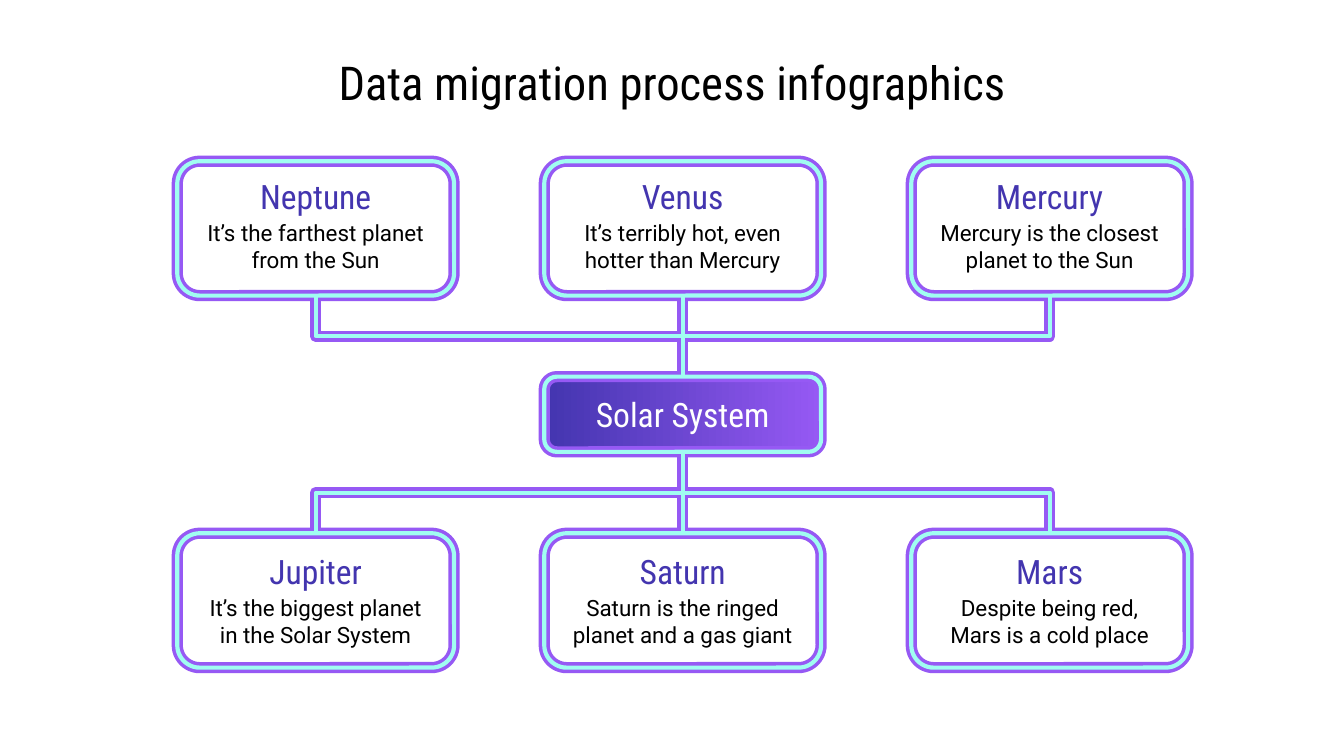
from lxml.etree import SubElement
from pptx import Presentation
from pptx.dml.color import RGBColor
from pptx.enum.shapes import MSO_CONNECTOR, MSO_SHAPE
from pptx.enum.text import MSO_ANCHOR, PP_ALIGN
from pptx.oxml.ns import qn
from pptx.util import Pt

COLORS = {
    "black": "000000",
    "white": "FFFFFF",
    "indigo": "4335AF",
    "violet": "9659F4",
    "aqua": "A0FDF1",
}
HEADING_FONT = "Roboto Condensed"
BODY_FONT = "Roboto"

BOX_WIDTH, BOX_HEIGHT = 148.3, 72
FIRST_LEFT, COLUMN_PITCH = 95, 196.6
UPPER_TOP, LOWER_TOP = 86.4, 285.7
HUB_TOP, HUB_HEIGHT = 201.8, 40.3
LEFTS = [FIRST_LEFT + column * COLUMN_PITCH for column in range(3)]

# Row top, distance down to the heading, and the planets from left to right
ROWS = [
    (UPPER_TOP, 8.6, [
        ("Neptune", "It’s the farthest planet from the Sun"),
        ("Venus", "It’s terribly hot, even hotter than Mercury"),
        ("Mercury", "Mercury is the closest planet to the Sun"),
    ]),
    (LOWER_TOP, 10.1, [
        ("Jupiter", "It’s the biggest planet in the Solar System"),
        ("Saturn", "Saturn is the ringed planet and a gas giant"),
        ("Mars", "Despite being red, Mars is a cold place"),
    ]),
]


def rgb(name):
    return RGBColor.from_string(COLORS[name])


def set_text(shape, text, font_name, size, color):
    """Write one centred paragraph with equal insets."""
    frame = shape.text_frame
    frame.word_wrap = True
    frame.vertical_anchor = MSO_ANCHOR.MIDDLE
    frame.margin_left = frame.margin_right = Pt(7.2)
    frame.margin_top = frame.margin_bottom = Pt(7.2)
    frame.text = text
    paragraph = frame.paragraphs[0]
    paragraph.alignment = PP_ALIGN.CENTER
    paragraph.font.name = font_name
    paragraph.font.size = Pt(size)
    paragraph.font.color.rgb = rgb(color)


def add_title(slide, text):
    title = slide.shapes.title
    title.left, title.top = Pt(40.5), Pt(23.8)
    title.width, title.height = Pt(638.9), Pt(40.3)
    set_text(title, text, HEADING_FONT, 25, "black")


def add_text(shapes, left, top, width, height, text, font_name, size, color):
    box = shapes.add_textbox(Pt(left), Pt(top), Pt(width), Pt(height))
    set_text(box, text, font_name, size, color)


def add_planet_text(slide, left, top, name, description):
    group = slide.shapes.add_group_shape()
    add_text(group.shapes, left, top, 136.7, 20, name,
             HEADING_FONT, 18, "indigo")
    add_text(group.shapes, left, top + 19.9, 136.7, 33.8, description,
             BODY_FONT, 12, "black")


def set_line(shape, color, width):
    shape.line.color.rgb = rgb(color)
    shape.line.width = Pt(width)


def add_outline(slide, left, top, height, color, width):
    box = slide.shapes.add_shape(MSO_SHAPE.ROUNDED_RECTANGLE, Pt(left),
                                 Pt(top), Pt(BOX_WIDTH), Pt(height))
    box.adjustments[0] = 0.167
    box.shadow.inherit = False
    box.fill.background()
    set_line(box, color, width)
    return box


def fill_gradient(shape, start, end):
    shape.fill.gradient()
    shape.fill.gradient_angle = 0
    for stop, color, position in zip(shape.fill.gradient_stops,
                                     (start, end), (0, 1)):
        stop.color.rgb = rgb(color)
        stop.position = position


def add_connector(slide, kind, left, top, right, bottom, color, width):
    connector = slide.shapes.add_connector(kind, Pt(left), Pt(top),
                                           Pt(right), Pt(bottom))
    SubElement(connector._element.spPr, qn("a:effectLst"))
    set_line(connector, color, width)
    return connector


def add_elbow(slide, start_x, start_y, end_x, end_y, color, width):
    """Add an elbow that leaves and arrives vertically, by a quarter turn."""
    middle_x, middle_y = (start_x + end_x) / 2, (start_y + end_y) / 2
    half_width, half_height = abs(end_y - start_y) / 2, abs(end_x - start_x) / 2
    connector = add_connector(
        slide, MSO_CONNECTOR.ELBOW,
        middle_x - half_width, middle_y - half_height,
        middle_x + half_width, middle_y + half_height, color, width)
    rightward, downward = end_x > start_x, end_y > start_y
    transform = connector._element.spPr.find(qn("a:xfrm"))
    transform.set("rot", str((270 if rightward else 90) * 60000))
    if rightward == downward:
        transform.set("flipH", "1")


def add_diagram_layer(slide, color, width):
    """Draw every outline and connector once; return the hub."""
    hub = add_outline(slide, LEFTS[1], HUB_TOP, HUB_HEIGHT, color, width)
    centers = [left + BOX_WIDTH / 2 for left in LEFTS]
    for row_top, _, _ in ROWS:
        boxes = [add_outline(slide, left, row_top, BOX_HEIGHT, color, width)
                 for left in LEFTS]
        if row_top < HUB_TOP:
            box_edge, hub_edge = row_top + BOX_HEIGHT, HUB_TOP
            box_site, hub_site = 2, 0
        else:
            box_edge, hub_edge = row_top, HUB_TOP + HUB_HEIGHT
            box_site, hub_site = 0, 2
        for center in (centers[0], centers[2]):
            add_elbow(slide, center, box_edge, centers[1], hub_edge,
                      color, width)
        trunk = add_connector(slide, MSO_CONNECTOR.STRAIGHT, centers[1],
                              box_edge, centers[1], hub_edge, color, width)
        trunk.begin_connect(boxes[1], box_site)
        trunk.end_connect(hub, hub_site)
    return hub


def main():
    presentation = Presentation()
    presentation.slide_width, presentation.slide_height = Pt(720), Pt(405)
    slide = presentation.slides.add_slide(presentation.slide_layouts[5])
    add_title(slide, "Data migration process infographics")

    hub = add_diagram_layer(slide, "violet", 6)
    fill_gradient(hub, "indigo", "violet")
    add_diagram_layer(slide, "aqua", 2.25)

    for row_top, text_offset, planets in ROWS:
        for left, (name, description) in zip(LEFTS, planets):
            add_planet_text(slide, left + 5.8, row_top + text_offset,
                            name, description)
    add_text(slide.shapes, LEFTS[1] + 13.2, HUB_TOP + 10.1, 121.9, 20,
             "Solar System", HEADING_FONT, 18, "white")
    presentation.save("out.pptx")


if __name__ == "__main__":
    main()
